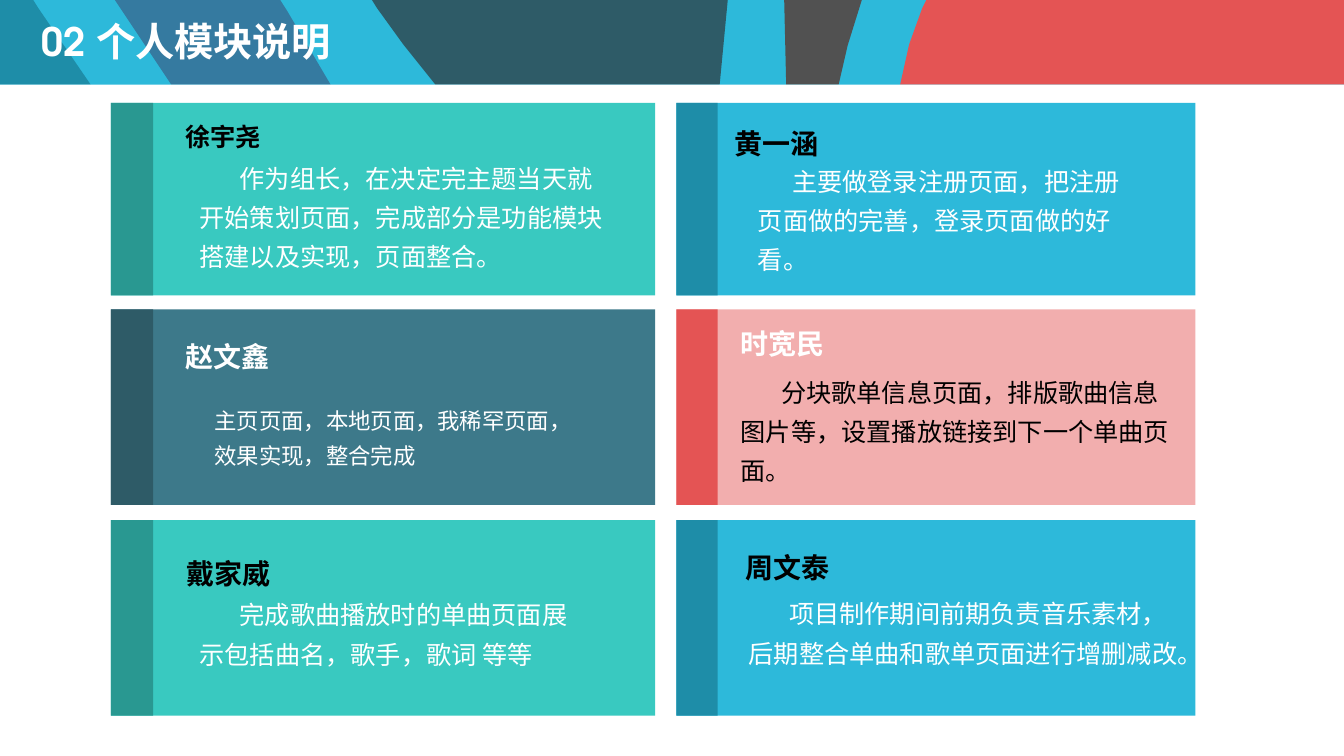
"""Build the slide that presents each team member's module."""
from dataclasses import dataclass

from lxml import etree
from pptx import Presentation
from pptx.dml.color import RGBColor
from pptx.enum.shapes import MSO_SHAPE
from pptx.enum.text import MSO_ANCHOR, MSO_AUTO_SIZE, PP_ALIGN
from pptx.oxml.ns import qn
from pptx.shapes.base import BaseShape
from pptx.slide import Slide
from pptx.text.text import TextFrame
from pptx.util import Inches, Length, Pt

RECTANGLE = MSO_SHAPE.RECTANGLE
MIDDLE = MSO_ANCHOR.MIDDLE
FIT_SHAPE, FIT_NONE = MSO_AUTO_SIZE.SHAPE_TO_FIT_TEXT, MSO_AUTO_SIZE.NONE
LEFT = PP_ALIGN.LEFT

CELLS_PER_INCH = 10
SLIDE_COLUMNS, SLIDE_ROWS = 133.33, 75
HEADER_ROWS = 8.4
NAME_ROWS = 4.9
TEXT_INSET = 1


@dataclass(frozen=True)
class Theme:
    """Colours, fonts and type sizes of the slide."""
    white: str = "FFFFFF"
    black: str = "000000"
    sky: str = "2DB9DA"
    deep_sky: str = "1E8DA8"
    mint: str = "39C9C0"
    deep_mint: str = "299891"
    slate: str = "3D798A"
    deep_slate: str = "2E5B67"
    blue: str = "357AA0"
    grey: str = "515151"
    pink: str = "F2AEAE"
    red: str = "E45454"
    heading_font: str = "TeX Gyre Adventor"
    body_font: str = "Noto Sans CJK SC"
    title_size: int = 28
    name_size: int = 20
    body_size: int = 18
    small_size: int = 16
    loose: float = 1.3


THEME = Theme()


@dataclass(frozen=True)
class Area:
    """A rectangle in grid columns and rows."""
    left: float
    top: float
    width: float
    height: float


@dataclass(frozen=True)
class Style:
    """The look of a paragraph; its indent is in columns."""
    size: int
    colour: str
    font: str = THEME.body_font
    bold: bool = False
    spacing: float = THEME.loose
    indent: float = 0


@dataclass(frozen=True)
class Ribbon:
    """A coloured piece of the header band."""
    colour: str
    points: tuple[tuple[float, float], ...]


@dataclass(frozen=True)
class GridColumn:
    """A column of cards with its stripe width."""
    left: float
    width: float
    stripe: float


@dataclass(frozen=True)
class GridRow:
    """A row of cards."""
    top: float
    height: float


@dataclass(frozen=True)
class Card:
    """One member's name and module."""
    column: int
    row: int
    fill: str
    stripe: str
    name: str
    name_at: tuple[float, float]
    name_colour: str
    text: str
    text_area: Area
    text_colour: str = THEME.white
    indent: float = 4
    name_size: int = THEME.name_size
    name_spacing: float = THEME.loose
    text_size: int = THEME.body_size


RIBBONS = (
    Ribbon(THEME.deep_sky, ((0, 0), (3.3, 0), (3.8, 0.8), (9, HEADER_ROWS), (0, HEADER_ROWS))),
    Ribbon(THEME.blue, ((11.4, 0), (27.8, 0), (28.5, 1.1), (32.8, HEADER_ROWS), (17, HEADER_ROWS))),
    Ribbon(THEME.deep_slate, ((36.9, 0), (72.2, 0), (71.4, HEADER_ROWS), (43.2, HEADER_ROWS),
                              (40, 4.4), (37.4, 0.8))),
    Ribbon(THEME.grey, ((77.8, 0), (85.5, 0), (84.1, 4.5), (83.2, HEADER_ROWS), (78, HEADER_ROWS))),
    Ribbon(THEME.red, ((91.9, 0), (SLIDE_COLUMNS, 0), (SLIDE_COLUMNS, HEADER_ROWS),
                       (89.3, HEADER_ROWS), (90.2, 4.4), (91.5, 0.8))),
)
COLUMNS = (GridColumn(11, 54, 4.2), GridColumn(67.1, 51.5, 4.1))
ROWS = (GridRow(10.2, 19.1), GridRow(30.7, 19.4), GridRow(51.6, 19.4))
CARDS = (
    Card(0, 0, THEME.mint, THEME.deep_mint, "徐宇尧", (17.4, 11.5), THEME.black,
         "作为组长，在决定完主题当天就开始策划页面，完成部分是功能模块搭建以及实现，页面整合。",
         Area(18.8, 14.8, 42.9, 12.8), name_size=THEME.body_size, name_spacing=1),
    Card(1, 0, THEME.sky, THEME.deep_sky, "黄一涵", (71.9, 11.1), THEME.black,
         "主要做登录注册页面，把注册页面做的完善，登录页面做的好看。",
         Area(74.2, 15.1, 39.1, 12.8), indent=3.4),
    Card(0, 1, THEME.slate, THEME.deep_slate, "赵文鑫", (17.4, 32.2), THEME.white,
         "主页页面，本地页面，我稀罕页面，效果实现，整合完成",
         Area(20.3, 39.1, 39, 7.7), indent=0, text_size=THEME.small_size),
    Card(1, 1, THEME.pink, THEME.red, "时宽民", (72.5, 30.9), THEME.white,
         "分块歌单信息页面，排版歌曲信息图片等，设置播放链接到下一个单曲页面。",
         Area(72.5, 36, 45.2, 12.8), text_colour=THEME.black),
    Card(0, 2, THEME.mint, THEME.deep_mint, "戴家威", (17.5, 53.7), THEME.black,
         "完成歌曲播放时的单曲页面展示包括曲名，歌手，歌词 等等",
         Area(18.8, 58.1, 38.9, 8.5)),
    Card(1, 2, THEME.sky, THEME.deep_sky, "周文泰", (73, 53.1), THEME.black,
         "项目制作期间前期负责音乐素材，后期整合单曲和歌单页面进行增删减改。",
         Area(73.3, 58, 45.2, 8.9)),
)


def cells(count: float) -> Length:
    """Turn a number of grid cells into a length."""
    return Inches(count / CELLS_PER_INCH)


def bounds(area: Area) -> tuple[Length, Length, Length, Length]:
    """Give the left, top, width and height of an area."""
    return cells(area.left), cells(area.top), cells(area.width), cells(area.height)


def paint(shape: BaseShape, colour: str) -> None:
    """Fill a shape plainly, with no line or shadow."""
    shape.shadow.inherit = False
    shape.fill.solid()
    shape.fill.fore_color.rgb = RGBColor.from_string(colour)
    shape.line.fill.background()


def add_block(page: Slide, area: Area, colour: str) -> None:
    """Draw a plain rectangle."""
    paint(page.shapes.add_shape(RECTANGLE, *bounds(area)), colour)


def add_ribbon(page: Slide, ribbon: Ribbon) -> None:
    """Draw one piece of the header band."""
    points = [(cells(column), cells(row)) for column, row in ribbon.points]
    builder = page.shapes.build_freeform(*points[0])
    builder.add_line_segments(points[1:], close=True)
    paint(builder.convert_to_shape(), ribbon.colour)


def write(frame: TextFrame, text: str, style: Style) -> None:
    """Set the text of a frame and format it."""
    frame.text = text
    para = frame.paragraphs[0]
    para.alignment = LEFT
    para.line_spacing = style.spacing
    para.space_before = Pt(0)
    para._p.get_or_add_pPr().set("indent", str(cells(style.indent)))
    span = para.runs[0]
    span.font.size = Pt(style.size)
    span.font.bold = style.bold
    span.font.color.rgb = RGBColor.from_string(style.colour)
    span.font.name = style.font
    etree.SubElement(span._r.get_or_add_rPr(), qn("a:ea"), typeface=THEME.body_font)


def add_text(page: Slide, area: Area, text: str, style: Style, wrap: bool) -> None:
    """Add a text box that fits its text."""
    frame = page.shapes.add_textbox(*bounds(area)).text_frame
    frame.word_wrap = wrap
    frame.auto_size = FIT_SHAPE
    write(frame, text, style)


def add_card(page: Slide, card: Card) -> None:
    """Draw a card with its stripe, name and text."""
    column, row = COLUMNS[card.column], ROWS[card.row]
    add_block(page, Area(column.left, row.top, column.width, row.height), card.fill)
    add_block(page, Area(column.left, row.top, column.stripe, row.height), card.stripe)
    name_width = len(card.name) * Pt(card.name_size).inches * CELLS_PER_INCH + 2 * TEXT_INSET
    add_text(page, Area(*card.name_at, name_width, NAME_ROWS), card.name,
             Style(card.name_size, card.name_colour, THEME.heading_font, True, card.name_spacing),
             wrap=False)
    add_text(page, card.text_area, card.text,
             Style(card.text_size, card.text_colour, indent=card.indent), wrap=True)


def add_title(page: Slide, text: str) -> None:
    """Place the title over the header band."""
    title = page.shapes.title
    title.left, title.top, title.width, title.height = bounds(Area(3.1, 1.1, 84.8, 6.5))
    title.text_frame.vertical_anchor = MIDDLE
    title.text_frame.word_wrap = True
    title.text_frame.auto_size = FIT_NONE
    write(title.text_frame, text,
          Style(THEME.title_size, THEME.white, THEME.heading_font, True, 0.9))


def main() -> None:
    """Build and save the deck."""
    deck = Presentation()
    deck.slide_width, deck.slide_height = cells(SLIDE_COLUMNS), cells(SLIDE_ROWS)
    page = deck.slides.add_slide(deck.slide_layouts.get_by_name("Title Only"))
    page.background.fill.solid()
    page.background.fill.fore_color.rgb = RGBColor.from_string(THEME.sky)
    for ribbon in RIBBONS:
        add_ribbon(page, ribbon)
    add_block(page, Area(0, HEADER_ROWS, SLIDE_COLUMNS, SLIDE_ROWS - HEADER_ROWS), THEME.white)
    title = page.shapes.title.element
    title.getparent().append(title)
    add_title(page, "02 个人模块说明")
    for card in CARDS:
        add_card(page, card)
    deck.save("out.pptx")


if __name__ == "__main__":
    main()
